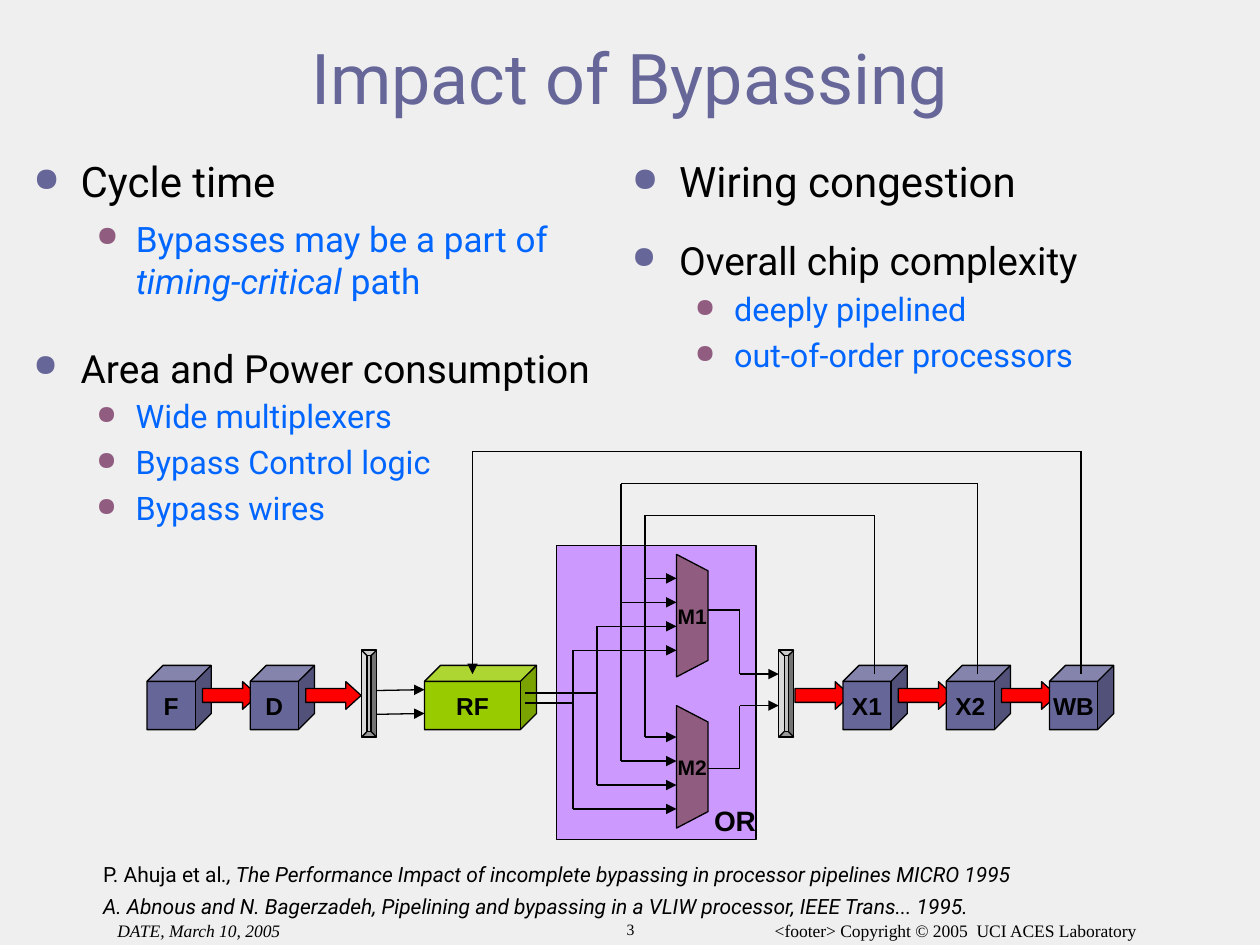
from lxml import etree
from pptx import Presentation
from pptx.dml.color import RGBColor
from pptx.enum import shapes, text
from pptx.oxml.ns import qn
from pptx.util import Pt

BLACK = RGBColor(0, 0, 0)
PAPER = RGBColor(0xEF, 0xEF, 0xEF)
SLATE = RGBColor(0x66, 0x66, 0x99)
PLUM = RGBColor(0x90, 0x5C, 0x80)
BLUE = RGBColor(0x00, 0x66, 0xFF)
RED = RGBColor(0xFF, 0, 0)
GREEN = RGBColor(0x99, 0xCC, 0)
LILAC = RGBColor(0xCC, 0x99, 0xFF)
SILVER = RGBColor(0xC0, 0xC0, 0xC0)

SHAPE = shapes.MSO_SHAPE
CENTER = text.PP_ALIGN.CENTER
MIDDLE = text.MSO_ANCHOR.MIDDLE


def style_runs(p, font, size, color=BLACK, bold=False, italic=False):
    for r in p.runs:
        f = r.font
        f.name, f.size, f.bold, f.italic = font, Pt(size), bold, italic
        f.color.rgb = color


def add_text(s, box, words, font, size, color=BLACK, align=None, **style):
    tb = s.shapes.add_textbox(*map(Pt, box))
    tf = tb.text_frame
    tf.word_wrap = True
    p = tf.paragraphs[0]
    p.text = words
    p.alignment = align
    style_runs(p, font, size, color, **style)
    return tf


def add_indent(p, left, hanging):
    pPr = p._p.get_or_add_pPr()
    pPr.set("marL", str(Pt(left)))
    pPr.set("indent", str(-Pt(hanging)))
    return pPr


def add_bullet(p, level):
    left, hanging, color = ((27, 27, SLATE), (58.5, 22.5, PLUM))[level]
    pPr = add_indent(p, left, hanging)
    clr = etree.SubElement(pPr, qn("a:buClr"))
    etree.SubElement(clr, qn("a:srgbClr"), val=str(color))
    etree.SubElement(pPr, qn("a:buSzPct"), val="80000")
    etree.SubElement(pPr, qn("a:buChar"), char="●")


def bullet_list(s, box, heading, items=(), sizes=(22.2, 18.5), spacing=(0.75, 0.9)):
    tf = add_text(s, box, heading, "Roboto", sizes[0])
    for item in items:
        p = tf.add_paragraph()
        p.text = item
        p.level = 1
        p.space_before = Pt(6.2)
        style_runs(p, "Roboto", sizes[1], BLUE)
    for p in tf.paragraphs:
        p.line_spacing = spacing[p.level]
        add_bullet(p, p.level)
    return tf


def italic_tail(p, *parts):
    """Replace the text by parts that alternate upright and italic."""
    f = p.runs[0].font
    look = f.name, f.size.pt, f.color.rgb
    p.runs[0].text = parts[0]
    for part in parts[1:]:
        p.add_run().text = part
    style_runs(p, *look)
    for r in p.runs[1::2]:
        r.font.italic = True


def paint(sp, fill, label="", size=14):
    sp.shadow.inherit = False
    sp.fill.solid()
    sp.fill.fore_color.rgb = fill
    sp.line.color.rgb = BLACK
    sp.line.width = Pt(0.75)
    if label:
        tf = sp.text_frame
        tf.word_wrap = False
        tf.vertical_anchor = MIDDLE
        p = tf.paragraphs[0]
        p.text = label
        p.alignment = CENTER
        style_runs(p, "Arial", size, bold=True)


def block(s, kind, x, y, w, h, fill, label="", adjust=()):
    sp = s.shapes.add_shape(kind, Pt(x), Pt(y), Pt(w), Pt(h))
    for i, value in enumerate(adjust):
        sp.adjustments[i] = value
    paint(sp, fill, label)


def mux(s, x, y, label):
    w, h, slope = 18, 70, 9.4
    fb = s.shapes.build_freeform(Pt(x), Pt(y))
    corners = [(x + w, y + slope), (x + w, y + h - slope), (x, y + h)]
    fb.add_line_segments([(Pt(a), Pt(b)) for a, b in corners], close=True)
    sp = fb.convert_to_shape()
    paint(sp, PLUM, label, 12)


def wire(s, *points, arrow=True):
    """Join the points by straight lines, with an arrowhead at the last one."""
    for start, end in zip(points, points[1:]):
        c = s.shapes.add_connector(shapes.MSO_CONNECTOR.STRAIGHT, *map(Pt, start + end))
        c.line.color.rgb = BLACK
        c.line.width = Pt(0.75)
        if arrow and end == points[-1]:
            etree.SubElement(c.line._get_or_add_ln(), qn("a:tailEnd"), type="triangle")
        etree.SubElement(c._element.spPr, qn("a:effectLst"))


def pipeline(s, x, y):
    pitch, cube, lane = 59, 36.7, 13.7
    stage_y, wire_y = y + 122.2, y + 127.2
    back_x, rf_x, mux_x = x + 397.7, x + 158.6, x + 302.6
    latch_xs = x + 122.6, x + 361

    def stage(left, label, width=cube, fill=SLATE):
        block(s, SHAPE.CUBE, left, stage_y, width, cube, fill, label, [0.25])

    def flow(left):
        block(s, SHAPE.RIGHT_ARROW, left, y + 131.5, 31.7, 15.8, RED, adjust=[0.504, 0.552])

    block(s, SHAPE.RECTANGLE, x + 234.2, y + 53.8, 113.8, 167.8, LILAC)
    for i, label in enumerate(("F", "D")):
        stage(x + i * pitch, label)
        flow(x + i * pitch + 31.7)
    for i, label in enumerate(("X1", "X2", "WB")):
        flow(back_x + i * pitch - 27.4)
        stage(back_x + i * pitch, label)
    stage(rf_x, "RF", 64, GREEN)
    for left in latch_xs:
        block(s, SHAPE.BEVEL, left, y + 113.5, 8.6, 49.7, SILVER, adjust=[0.361])
    for dy in (136.6, 150.2):
        wire(s, (latch_xs[0] + 8.6, y + dy), (rf_x, y + dy - 0.5))

    for label, top, out, target in (("M1", 58.8, 90.5, 127.2), ("M2", 145.2, 181.2, 145.2)):
        mux(s, mux_x, y + top, label)
        wire(s, (mux_x + 18, y + out), (mux_x + 36, y + out),
             (mux_x + 36, y + target), (latch_xs[1], y + target))

    buses = [mux_x - 18 - lane * i for i in range(4)]
    for i, bus in enumerate(buses):
        upper, lower = y + 72.5 + lane * i, y + 163.2 + lane * i
        wire(s, (bus, upper), (mux_x, upper))
        source = [(bus, upper)]
        if i < 2:
            tap, top = back_x + 18 + i * pitch, y + 36.5 - 18.2 * i
            source = [(tap, wire_y), (tap, top), (bus, top)]
        wire(s, *source, (bus, lower), (mux_x, lower))
    wb = back_x + 18 + 2 * pitch
    wire(s, (wb, wire_y), (wb, y), (x + 186, y), (x + 186, wire_y))
    for bus, dy in ((buses[3], 143.8), (buses[2], 138)):
        wire(s, (bus, y + dy), (x + 216.2, y + dy), arrow=False)
    add_text(s, (x + 312, y + 197.8, 48, 26.6), "OR", "Arial", 16, align=CENTER, bold=True)


def left_column(s, x, y):
    tf = bullet_list(s, (x, y, 312, 94), "Cycle time",
                     ["Bypasses may be a part of timing-critical path"], (24, 20), (0.85, 1.0))
    italic_tail(tf.paragraphs[1], "Bypasses may be a part of ", "timing-critical", " path")
    bullet_list(s, (x, y + 109.4, 354, 124.6), "Area and Power consumption",
                ["Wide multiplexers", "Bypass Control logic", "Bypass wires"])


def right_column(s, x, y):
    bullet_list(s, (x, y, 288, 42), "Wiring congestion", sizes=(24, 20), spacing=(0.85, 1.0))
    bullet_list(s, (x, y + 48, 354, 84), "Overall chip complexity",
                ["deeply pipelined", "out-of-order processors"])


def references(s, x, y):
    tf = add_text(s, (x, y, 648.7, 43.2), "P. Ahuja et al", "Roboto", 12)
    italic_tail(tf.paragraphs[0], "P. Ahuja et al", "., The Performance Impact of incomplete "
                "bypassing in processor pipelines MICRO 1995")
    p = tf.add_paragraph()
    p.text = ("A. Abnous and N. Bagerzadeh, Pipelining and bypassing in a VLIW processor, "
              "IEEE Trans... 1995.")
    p.space_before = Pt(6)
    style_runs(p, "Roboto", 12, italic=True)
    for p in tf.paragraphs:
        p.line_spacing = 0.85
        add_indent(p, 27, 27)


def footer(s, y):
    serif = "Times New Roman"
    add_text(s, (60, y, 150, 19.4), "DATE, March 10, 2005", serif, 10, italic=True)
    add_text(s, (270.7, y, 179.3, 18), "3", serif, 9, align=CENTER)
    add_text(s, (414, y, 264, 24), "<footer> Copyright © 2005  UCI ACES Laboratory",
             serif, 10, align=CENTER)


def main():
    prs = Presentation()
    prs.slide_width, prs.slide_height = Pt(720), Pt(540)
    s = prs.slides.add_slide(prs.slide_layouts[6])
    s.background.fill.solid()
    s.background.fill.fore_color.rgb = PAPER
    tf = add_text(s, (36, 21.6, 648, 51.8), "Impact of Bypassing", "Roboto", 40, SLATE, CENTER)
    tf.vertical_anchor = MIDDLE
    tf.paragraphs[0].line_spacing = 0.85
    left_column(s, 12, 90)
    right_column(s, 354, 90)
    pipeline(s, 84, 258)
    references(s, 51.8, 491)
    footer(s, 522)
    prs.save("out.pptx")


if __name__ == "__main__":
    main()
